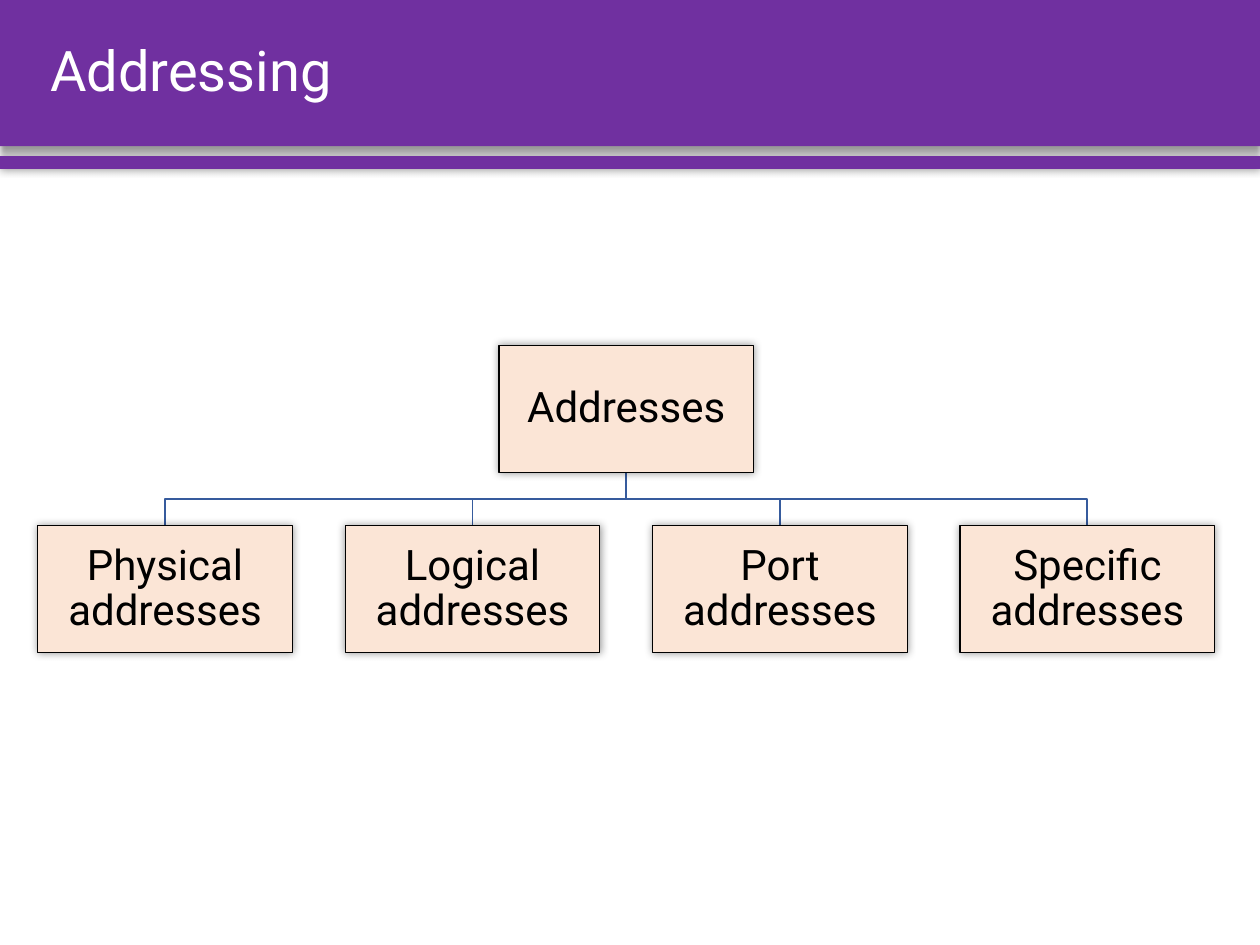
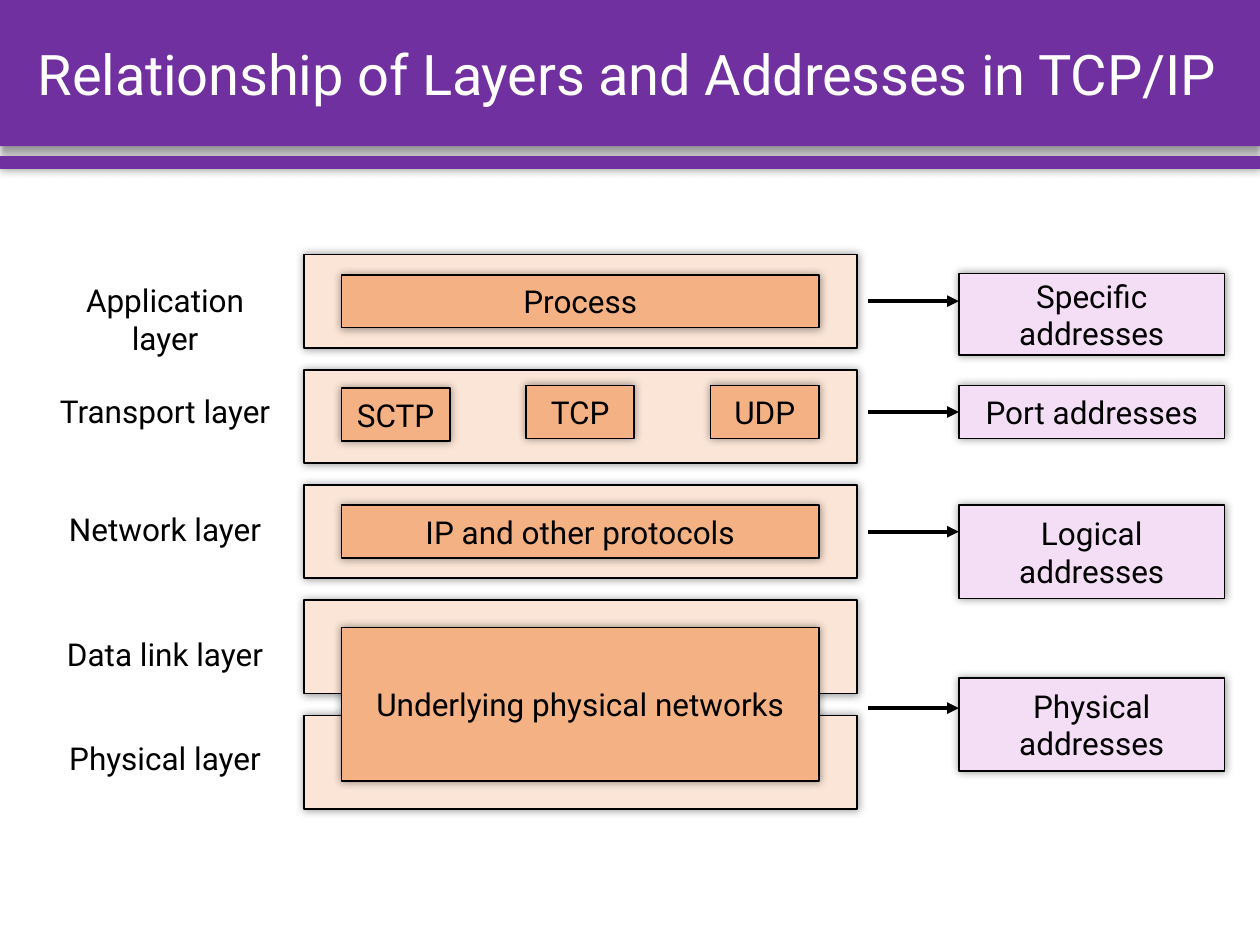
from collections import namedtuple

from lxml import etree
from pptx import Presentation
from pptx.dml.color import RGBColor
from pptx.enum.shapes import MSO_CONNECTOR, MSO_SHAPE
from pptx.enum.text import MSO_ANCHOR, PP_ALIGN
from pptx.oxml.ns import qn
from pptx.util import Inches, Pt

RECTANGLE = MSO_SHAPE.RECTANGLE
STRAIGHT = MSO_CONNECTOR.STRAIGHT
MIDDLE, TOP = MSO_ANCHOR.MIDDLE, MSO_ANCHOR.TOP
CENTER, LEFT = PP_ALIGN.CENTER, PP_ALIGN.LEFT

COLORS = {
    "band": "7030A0",
    "title": "FFFFFF",
    "ink": "000000",
    "layer": "FBE5D6",
    "protocol": "F4B183",
    "address": "F3DEF6",
    "branch": "365B9D",
}
FONT = "Roboto"

# The slide is a grid of 100 columns by 75 rows of square cells.
SLIDE_WIDTH, SLIDE_HEIGHT = Inches(10), Inches(7.5)
CELL = SLIDE_WIDTH // 100


class Box(namedtuple("Box", "left top width height")):
    """A region in grid cells."""

    def inner(self, left, top, width, height):
        return Box(self.left + left, self.top + top, width, height)

    def lengths(self):
        return [cells(value) for value in self]


TITLE_BOX = Box(3, 0, 94.6, 11.6)
TREE_BOX = Box(3, 27.4, 93.4, 24.4)
LAYERS_BOX = Box(3, 20.2, 94.2, 44)

ADDRESS_TREE = ("Addresses", ["Physical addresses", "Logical addresses",
                              "Port addresses", "Specific addresses"])

# Each entry: text, top row within the diagram (and height where it varies).
LAYER_LABELS = [("Application layer", 1.6), ("Transport layer", 10.4),
                ("Network layer", 19.8), ("Data link layer", 29.7),
                ("Physical layer", 38)]
WIDE_PROTOCOLS = [("Process", 1.6, 4.2), ("IP and other protocols", 19.9, 4.2),
                  ("Underlying physical networks", 29.6, 12.2)]
TRANSPORT_PROTOCOLS = [("SCTP", 10.6), ("TCP", 10.4), ("UDP", 10.4)]
# Text, top, height and row of the arrow that points to it.
ADDRESSES = [("Specific addresses", 1.5, 6.5, 3.7),
             ("Port addresses", 10.4, 4.2, 12.5),
             ("Logical addresses", 19.9, 7.4, 22),
             ("Physical addresses", 33.6, 7.4, 36)]


def cells(value):
    return round(value * CELL)


def color(name):
    return RGBColor.from_string(COLORS[name])


def add_shadow(shape, blur=5, distance=0, direction=0):
    """Black outer shadow at 40 % opacity; blur and distance in points."""
    shape.shadow.inherit = False
    effects = shape._element.spPr.find(qn("a:effectLst"))
    outer = etree.SubElement(effects, qn("a:outerShdw"), {
        "blurRad": str(Pt(blur)), "dist": str(Pt(distance)),
        "dir": str(direction * 60000), "rotWithShape": "0"})
    black = etree.SubElement(outer, qn("a:srgbClr"), val=COLORS["ink"])
    etree.SubElement(black, qn("a:alpha"), val="40000")


def write(shape, text, size, ink="ink", align=CENTER, anchor=MIDDLE,
          inset=None, line_spacing=None, tracking=None):
    """Set the text of a shape; inset in inches, tracking in 1/100 point."""
    frame = shape.text_frame
    frame.word_wrap = True
    frame.vertical_anchor = anchor
    if inset is not None:
        frame.margin_left = frame.margin_right = Inches(inset)
        frame.margin_top = frame.margin_bottom = Inches(inset)
    frame.text = text
    paragraph = frame.paragraphs[0]
    paragraph.alignment = align
    if line_spacing:
        paragraph.line_spacing = line_spacing
    run = paragraph.runs[0]
    run.font.name = FONT
    run.font.size = Pt(size)
    run.font.color.rgb = color(ink)
    if tracking:
        run._r.get_or_add_rPr().set("spc", str(tracking))


def add_panel(slide, box, fill, line_width=1, **shadow_style):
    """Filled rectangle with a soft shadow and a black outline."""
    panel = slide.shapes.add_shape(RECTANGLE, *box.lengths())
    panel.fill.solid()
    panel.fill.fore_color.rgb = color(fill)
    if line_width:
        panel.line.color.rgb = color("ink")
        panel.line.width = Pt(line_width)
    else:
        panel.line.fill.background()
    add_shadow(panel, **shadow_style)
    return panel


def add_arrow(slide, box):
    left, top, width, _ = box.lengths()
    arrow = slide.shapes.add_connector(STRAIGHT, left, top, left + width, top)
    arrow.line.color.rgb = color("ink")
    arrow.line.width = Pt(2.25)
    properties = arrow._element.spPr
    etree.SubElement(properties.find(qn("a:ln")), qn("a:tailEnd"),
                     type="triangle")
    etree.SubElement(properties, qn("a:effectLst"))


def add_branch(slide, start, end):
    """Elbow line from the foot of a parent node to the head of a child."""
    (start_x, start_y), (end_x, end_y) = start, end
    middle_y = (start_y + end_y) / 2
    builder = slide.shapes.build_freeform(cells(start_x), cells(start_y))
    points = [(start_x, middle_y), (end_x, middle_y), (end_x, end_y)]
    builder.add_line_segments([(cells(x), cells(y)) for x, y in points],
                              close=False)
    branch = builder.convert_to_shape()
    branch.fill.background()
    branch.line.color.rgb = color("branch")
    branch.line.width = Pt(1)
    branch.shadow.inherit = False


def add_header(slide, title, **title_style):
    add_panel(slide, Box(0, 0, 100, 11.6), "band", line_width=0,
              blur=4, distance=3, direction=90)
    add_panel(slide, Box(0, 12.4, 100, 1), "band", line_width=0)
    text_box = slide.shapes.add_textbox(*TITLE_BOX.lengths())
    write(text_box, title, 32, ink="title", align=LEFT, **title_style)


def add_tree(slide, box, root, children):
    node_width, node_height = 20.2, 10.1
    step = (box.width - node_width) / (len(children) - 1)
    child_top = box.height - node_height
    root_box = box.inner((box.width - node_width) / 2, 0,
                         node_width, node_height)
    child_boxes = [box.inner(index * step, child_top, node_width, node_height)
                   for index in range(len(children))]
    foot = (root_box.left + node_width / 2, root_box.top + node_height)
    for child_box in child_boxes:
        add_branch(slide, foot,
                   (child_box.left + node_width / 2, child_box.top))
    for text, node_box in zip([root, *children], [root_box, *child_boxes]):
        node = add_panel(slide, node_box, "layer", line_width=0.75)
        write(node, text, 24, inset=0.02, line_spacing=0.9)


def add_layers(slide, box):
    """Stack of layer panels with the protocols that belong to them."""
    panel_left, panel_width, panel_height = 21.1, 43.9, 7.4
    step = (box.height - panel_height) / (len(LAYER_LABELS) - 1)
    for index in range(len(LAYER_LABELS)):
        add_panel(slide, box.inner(panel_left, index * step,
                                   panel_width, panel_height), "layer")

    left, width = panel_left + 3, panel_width - 6
    for text, top, height in WIDE_PROTOCOLS:
        protocol = add_panel(slide, box.inner(left, top, width, height),
                             "protocol")
        write(protocol, text, 18)

    small_width = 8.6
    small_step = (width - small_width) / (len(TRANSPORT_PROTOCOLS) - 1)
    for index, (text, top) in enumerate(TRANSPORT_PROTOCOLS):
        protocol = add_panel(slide, box.inner(left + index * small_step, top,
                                              small_width, 4.2), "protocol")
        write(protocol, text, 18)


def add_addresses(slide, box):
    """Address boxes on the right and the arrows leading to them."""
    width = 21.1
    left = box.width - width
    for text, top, height, arrow_top in ADDRESSES:
        address = add_panel(slide, box.inner(left, top, width, height),
                            "address")
        write(address, text, 18)
        add_arrow(slide, box.inner(left - 7.2, arrow_top, 7.2, 0))


def add_layer_labels(slide, box):
    for text, top in LAYER_LABELS:
        label = slide.shapes.add_textbox(*box.inner(0, top, 20.2, 4).lengths())
        write(label, text, 18, anchor=TOP)


def main():
    presentation = Presentation()
    presentation.slide_width = SLIDE_WIDTH
    presentation.slide_height = SLIDE_HEIGHT
    blank = presentation.slide_layouts[6]

    slide = presentation.slides.add_slide(blank)
    add_header(slide, "Addressing", line_spacing=0.9)
    add_tree(slide, TREE_BOX, *ADDRESS_TREE)

    slide = presentation.slides.add_slide(blank)
    add_header(slide, "Relationship of Layers and Addresses in TCP/IP",
               inset=0, tracking=-10)
    add_layers(slide, LAYERS_BOX)
    add_addresses(slide, LAYERS_BOX)
    add_layer_labels(slide, LAYERS_BOX)

    presentation.save("out.pptx")


if __name__ == "__main__":
    main()
